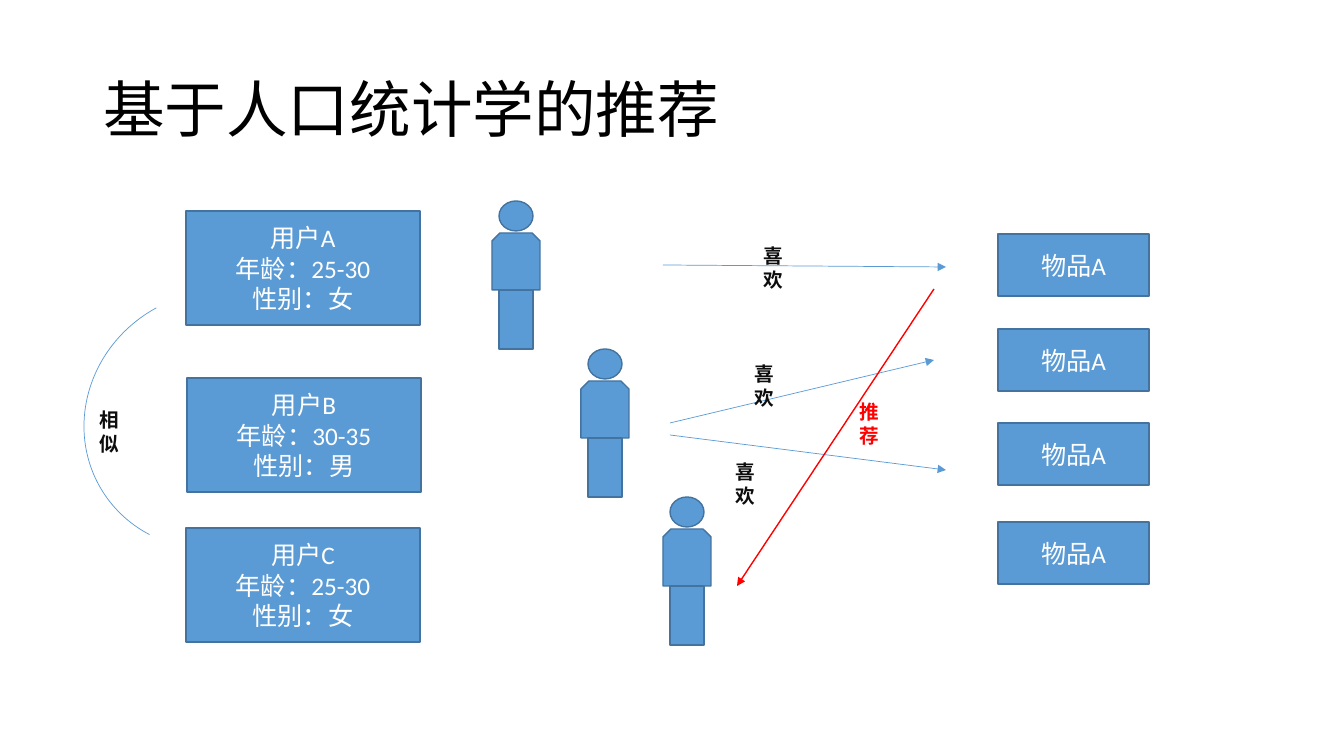
import pptx
import pptx.util
import pptx.dml.color
import pptx.enum.shapes
import pptx.enum.text
import pptx.oxml
import pptx.oxml.ns

SCALE = 914400 / 100.8  # EMU in one pixel
BLUE, EDGE, RED, DARK = "5B9BD5", "43739E", "FF0000", "0D0D0D"
SHAPE = pptx.enum.shapes.MSO_SHAPE
ALIGN = pptx.enum.text.PP_ALIGN
MIDDLE = pptx.enum.text.MSO_ANCHOR.MIDDLE


def px(*values):
    return [pptx.util.Emu(round(v * SCALE)) for v in values]


def rgb(code):
    return pptx.dml.color.RGBColor.from_string(code)


def put_text(tf, lines, color, align, spacing=None, **font):
    for i, line in enumerate(lines):
        p = tf.paragraphs[0] if i == 0 else tf.add_paragraph()
        p.alignment, p.line_spacing = align, spacing
        r = p.add_run()
        r.text = line
        r.font.color.rgb = rgb(color)
        for name, value in {"name": "Calibri", **font}.items():
            setattr(r.font, name, value)


def set_line(s, color, width):
    s.line.color.rgb = rgb(color)
    s.line.width = pptx.util.Pt(width)


def add_block(slide, kind, box, lines=()):
    s = slide.shapes.add_shape(kind, *px(*box))
    s.shadow.inherit = False
    s.fill.solid()
    s.fill.fore_color.rgb = rgb(BLUE)
    set_line(s, EDGE, 1)
    s.text_frame.vertical_anchor = MIDDLE
    put_text(s.text_frame, lines, "FFFFFF", ALIGN.CENTER, size=pptx.util.Pt(18))


def add_person(slide, x, y):
    add_block(slide, SHAPE.OVAL, (x + 7, y, 34, 30))
    add_block(slide, SHAPE.SNIP_2_SAME_RECTANGLE, (x, y + 32, 48, 57))
    add_block(slide, SHAPE.RECTANGLE, (x + 7, y + 89, 34, 59))


def add_arrow(slide, ends, color=BLUE, width=0.5):
    straight = pptx.enum.shapes.MSO_CONNECTOR.STRAIGHT
    s = slide.shapes.add_connector(straight, *px(*ends))
    set_line(s, color, width)
    ns = pptx.oxml.ns.nsdecls("a")
    s.line._get_or_add_ln().append(
        pptx.oxml.parse_xml(f'<a:tailEnd {ns} type="triangle"/>'))
    s._element.spPr.append(pptx.oxml.parse_xml(f"<a:effectLst {ns}/>"))


def add_arc(slide, box, rotation, angles):
    s = slide.shapes.add_shape(SHAPE.ARC, *px(*box))
    s.shadow.inherit = False
    s.fill.background()
    set_line(s, BLUE, 0.5)
    s.rotation = rotation
    s.adjustments[0], s.adjustments[1] = angles


def add_label(slide, x, y, text, color=DARK):
    tf = slide.shapes.add_textbox(*px(x, y, 59, 34)).text_frame
    tf.word_wrap = False
    tf.auto_size = pptx.enum.text.MSO_AUTO_SIZE.SHAPE_TO_FIT_TEXT
    put_text(tf, [text], color, ALIGN.LEFT, size=pptx.util.Pt(14), bold=True)


def add_title(slide, text):
    s = slide.shapes.title
    s.left, s.top, s.width, s.height = px(93, 40, 1159, 146)
    s.text_frame.vertical_anchor = MIDDLE
    put_text(s.text_frame, [text], "000000", ALIGN.LEFT, 0.9,
             size=pptx.util.Pt(44))


def main():
    prs = pptx.Presentation()
    prs.slide_width, prs.slide_height = px(1344, 756)
    slide = prs.slides.add_slide(prs.slide_layouts[5])
    add_title(slide, "基于人口统计学的推荐")

    # People, stepping down to the right
    for i, x in enumerate((492, 581, 663)):
        add_person(slide, x, 201 + 148 * i)

    # User profiles and the link between similar ones
    users = [(186, 211, "A", "25-30", "女"),
             (187, 378, "B", "30-35", "男"),
             (186, 528, "C", "25-30", "女")]
    for x, y, name, age, sex in users:
        add_block(slide, SHAPE.RECTANGLE, (x, y, 234, 114),
                  [f"用户{name}", f"年龄：{age}", f"性别：{sex}"])
    add_arc(slide, (89, 286, 254, 268), 237.4, (145.64, 2.77))

    # Items
    for y in (234, 329, 423, 522):
        add_block(slide, SHAPE.RECTANGLE, (998, y, 151, 62), ["物品A"])

    # Likes and the resulting recommendation
    for ends in ((663, 265, 946, 267), (670, 423, 934, 360),
                 (670, 435, 946, 470)):
        add_arrow(slide, ends)
    add_arrow(slide, (934, 289, 737, 586), RED, 1)

    # Labels
    add_label(slide, 850, 395, "推荐", RED)
    for x, y in ((745, 357), (726, 455), (754, 239)):
        add_label(slide, x, y, "喜欢")
    add_label(slide, 90, 403, "相似")

    prs.save("out.pptx")


main()
